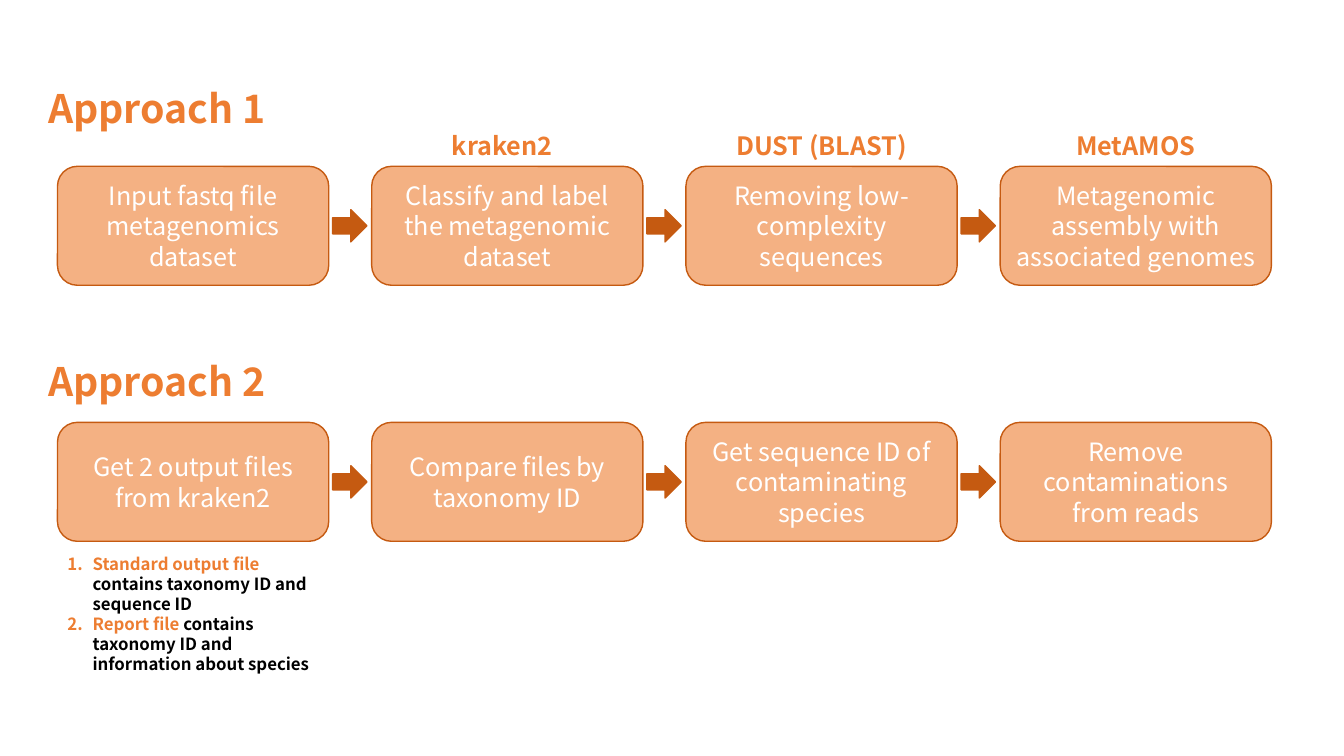
from pptx import Presentation
from pptx.dml import color
from pptx.enum import shapes, text
from pptx.oxml import xmlchemy
from pptx.util import Inches, Pt

FONT = "Noto Sans CJK KR"
ORANGE, PEACH, RUST, WHITE, BLACK = "ED7D31", "F4B183", "C55A11", "FFFFFF", "000000"
STEP_W, STEP_H, STEP_PITCH = 2.69, 1.18, 9.35 / 3
LABEL_W, LABEL_H = 2.06, 0.4
ARROW_W, ARROW_H, ARROW_GAP = 0.34, 0.32, 0.04

APPROACH_1 = [
    ("Input fastq file metagenomics dataset", "", 0),
    ("Classify and label the metagenomic dataset", "kraken2", -0.05),
    ("Removing low-complexity sequences", "DUST (BLAST)", 0),
    ("Metagenomic assembly with associated genomes", "MetAMOS", 0),
]
APPROACH_2 = [
    ("Get 2 output files from kraken2", "", 0),
    ("Compare files by taxonomy ID", "", 0),
    ("Get sequence ID of contaminating species", "", 0),
    ("Remove contaminations from reads", "", 0),
]
OUTPUT_FILES = [
    ("Standard output file ", "contains taxonomy ID and sequence ID"),
    ("Report file ", "contains taxonomy ID and information about species"),
]


def rgb(value):
    """Turn a hex string into a colour."""
    return color.RGBColor.from_string(value)


def style_run(run, size, ink, bold=False):
    """Set the font, size, colour and weight of a run."""
    run.font.name = FONT
    run.font.size = Pt(size)
    run.font.color.rgb = rgb(ink)
    run.font.bold = bold


def write(frame, words, size, ink, bold=False, align=text.PP_ALIGN.CENTER):
    """Fill a text frame with one formatted paragraph."""
    frame.text = words
    frame.word_wrap = True
    frame.paragraphs[0].alignment = align
    style_run(frame.paragraphs[0].runs[0], size, ink, bold)


def add_text_box(slide, left, top, width, height):
    """Add a wrapping text box that grows with its text."""
    box = slide.shapes.add_textbox(*map(Inches, (left, top, width, height)))
    box.text_frame.word_wrap = True
    box.text_frame.auto_size = text.MSO_AUTO_SIZE.SHAPE_TO_FIT_TEXT
    return box


def add_block(slide, kind, fill, left, top, width, height):
    """Add a filled preset shape with a thin rust outline."""
    block = slide.shapes.add_shape(kind, *map(Inches, (left, top, width, height)))
    block.shadow.inherit = False
    block.fill.solid()
    block.fill.fore_color.rgb = rgb(fill)
    block.line.color.rgb = rgb(RUST)
    block.line.width = Pt(1)
    return block


def place_heading(heading, words, left, top):
    """Place and write the heading of an approach."""
    heading.left, heading.top = Inches(left), Inches(top)
    heading.width, heading.height = Inches(4.6), Inches(0.57)
    frame = heading.text_frame
    write(frame, words, 28, ORANGE, True, text.PP_ALIGN.LEFT)
    frame.vertical_anchor = text.MSO_ANCHOR.TOP
    frame.auto_size = text.MSO_AUTO_SIZE.SHAPE_TO_FIT_TEXT
    frame.paragraphs[0].space_before = Pt(0)


def add_flow(slide, steps, left, top):
    """Draw a row of steps with tool labels above and arrows between."""
    for index, (words, tool, shift) in enumerate(steps):
        x = left + index * STEP_PITCH
        step = add_block(slide, shapes.MSO_SHAPE.ROUNDED_RECTANGLE, PEACH,
                         x, top, STEP_W, STEP_H)
        step.text_frame.vertical_anchor = text.MSO_ANCHOR.MIDDLE
        write(step.text_frame, words, 18, WHITE)
        if tool:
            label = add_text_box(slide, x + (STEP_W - LABEL_W) / 2 + shift,
                                 top - LABEL_H - 0.01, LABEL_W, LABEL_H)
            write(label.text_frame, tool, 18, ORANGE, True)
        if index < len(steps) - 1:
            add_block(slide, shapes.MSO_SHAPE.RIGHT_ARROW, RUST,
                      x + STEP_W + ARROW_GAP, top + (STEP_H - ARROW_H) / 2,
                      ARROW_W, ARROW_H)


def add_file_list(slide, left, top):
    """Write the numbered list of output files."""
    frame = add_text_box(slide, left, top, STEP_W, 1.31).text_frame
    for index, (name, contents) in enumerate(OUTPUT_FILES):
        paragraph = frame.add_paragraph() if index else frame.paragraphs[0]
        for words, ink in ((name, ORANGE), (contents, BLACK)):
            run = paragraph.add_run()
            run.text = words
            style_run(run, 12, ink, True)
        number_paragraph(paragraph)


def number_paragraph(paragraph):
    """Give a paragraph an automatic number and a hanging indent."""
    properties = paragraph._p.get_or_add_pPr()
    properties.set("marL", str(Inches(0.25)))
    properties.set("indent", str(-Inches(0.25)))
    number = xmlchemy.OxmlElement("a:buAutoNum")
    number.set("type", "arabicPeriod")
    properties.append(number)


def main():
    """Build the slide with both approaches."""
    deck = Presentation()
    deck.slide_width, deck.slide_height = Inches(13.33), Inches(7.5)
    slide = deck.slides.add_slide(deck.slide_layouts[5])
    place_heading(slide.shapes.title, "Approach 1", 0.38, 0.79)
    add_flow(slide, APPROACH_1, 0.57, 1.65)
    second_heading = add_text_box(slide, 0.38, 3.5, 4.6, 0.57)
    place_heading(second_heading, "Approach 2", 0.38, 3.5)
    add_flow(slide, APPROACH_2, 0.57, 4.19)
    add_file_list(slide, 0.57, 5.44)
    deck.save("out.pptx")


if __name__ == "__main__":
    main()
